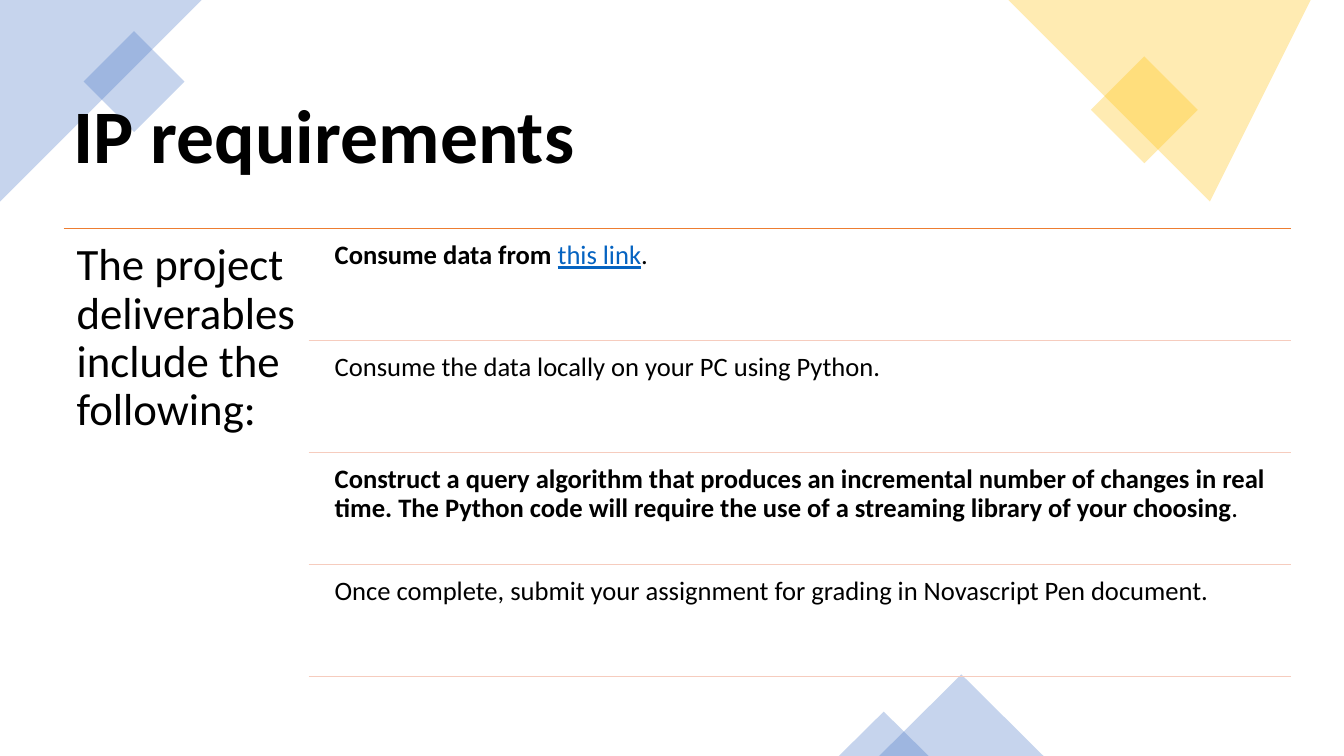
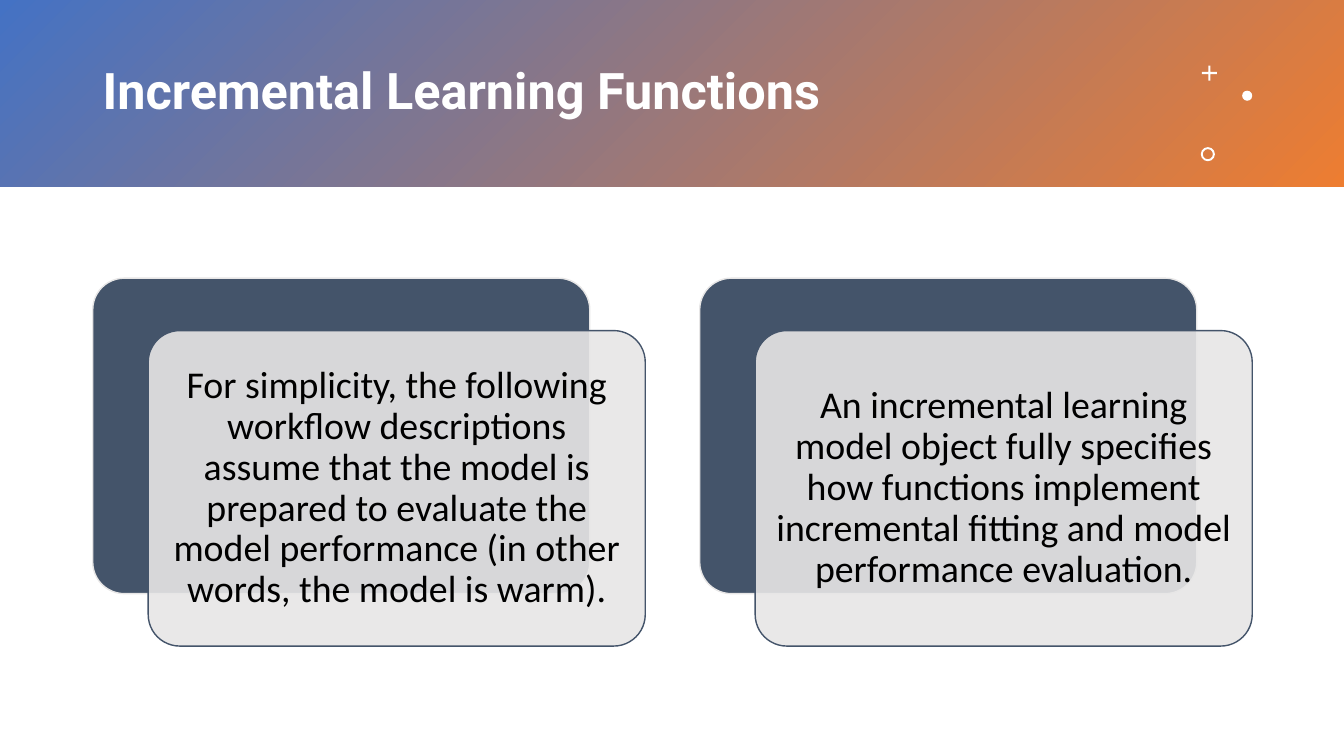
from dataclasses import dataclass

from pptx import Presentation
from pptx.dml.color import RGBColor
from pptx.enum.shapes import MSO_CONNECTOR, MSO_SHAPE
from pptx.enum.text import MSO_ANCHOR, PP_ALIGN
from pptx.oxml.ns import qn
from pptx.oxml.xmlchemy import OxmlElement
from pptx.util import Inches, Pt

TOP, MIDDLE, BOTTOM = MSO_ANCHOR.TOP, MSO_ANCHOR.MIDDLE, MSO_ANCHOR.BOTTOM
LEFT, CENTER = PP_ALIGN.LEFT, PP_ALIGN.CENTER
RECTANGLE, ROUNDED = MSO_SHAPE.RECTANGLE, MSO_SHAPE.ROUNDED_RECTANGLE
DIAMOND, TRIANGLE = MSO_SHAPE.DIAMOND, MSO_SHAPE.ISOSCELES_TRIANGLE
CROSS, OVAL, DONUT = MSO_SHAPE.CROSS, MSO_SHAPE.OVAL, MSO_SHAPE.DONUT
STRAIGHT = MSO_CONNECTOR.STRAIGHT


@dataclass(frozen=True)
class Theme:
    blue: str = "4472C4"
    gold: str = "FFC000"
    orange: str = "ED7D31"
    peach: str = "F6CCBE"
    slate: str = "44546A"
    grey: str = "E7E6E6"
    link: str = "0563C1"
    black: str = "000000"
    white: str = "FFFFFF"
    body_font: str = "Calibri"
    heading_font: str = "Roboto"
    large_title: int = 54
    band_title: int = 36
    lead: int = 32
    card: int = 27
    item: int = 19
    line_spacing: float = 0.9
    tint: int = 30


THEME = Theme()


@dataclass(frozen=True)
class Words:
    text: str
    bold: bool = False
    color: str = THEME.black
    underline: bool = False


REQUIREMENTS = (
    (Words("Consume data from ", bold=True),
     Words("this link", color=THEME.link, underline=True), Words(".")),
    (Words("Consume the data locally on your PC using Python."),),
    (Words("Construct a query algorithm that produces an incremental number of "
           "changes in real time. The Python code will require the use of a "
           "streaming library of your choosing", bold=True), Words(".")),
    (Words("Once complete, submit your assignment for grading in "
           "Novascript Pen document."),),
)

CARDS = (
    "For simplicity, the following workflow descriptions assume that the model "
    "is prepared to evaluate the model performance (in other words, the model "
    "is warm).",
    "An incremental learning model object fully specifies how functions "
    "implement incremental fitting and model performance evaluation.",
)


def rgb(color):
    return RGBColor.from_string(color)


def paint(shape, color, opacity=100, outline=None):
    shape.shadow.inherit = False
    shape.fill.solid()
    shape.fill.fore_color.rgb = rgb(color)
    if opacity < 100:
        alpha = OxmlElement("a:alpha")
        alpha.set("val", str(opacity * 1000))
        shape.element.spPr.find(qn("a:solidFill"))[0].append(alpha)
    if outline:
        shape.line.color.rgb = rgb(outline)
        shape.line.width = Pt(1)
    else:
        shape.line.fill.background()


def add_shape(page, kind, place, color, opacity=100, outline=None, adjust=None):
    shape = page.shapes.add_shape(kind, *map(Inches, place))
    if adjust is not None:
        shape.adjustments[0] = adjust
    paint(shape, color, opacity, outline)
    return shape


def add_polygon(page, points, color, opacity):
    builder = page.shapes.build_freeform(*points[0], scale=Inches(1))
    builder.add_line_segments(points[1:], close=True)
    paint(builder.convert_to_shape(), color, opacity)


def add_rule(page, left, right, top, color):
    rule = page.shapes.add_connector(
        STRAIGHT, Inches(left), Inches(top), Inches(right), Inches(top))
    rule.line.color.rgb = rgb(color)
    rule.line.width = Pt(1)
    rule.element.spPr.append(OxmlElement("a:effectLst"))


def write(shape, words, size, font=THEME.body_font, anchor=TOP, align=LEFT,
          inset=None):
    frame = shape.text_frame
    frame.word_wrap = True
    frame.vertical_anchor = anchor
    if inset is not None:
        frame.margin_left = frame.margin_right = Inches(inset)
        frame.margin_top = frame.margin_bottom = Inches(inset)
    para = frame.paragraphs[0]
    para.alignment = align
    para.line_spacing = THEME.line_spacing
    for part in words:
        span = para.add_run()
        span.text = part.text
        span.font.name = font
        span.font.size = Pt(size)
        span.font.bold = part.bold
        span.font.underline = part.underline
        span.font.color.rgb = rgb(part.color)


def add_text(page, place, words, size, **style):
    box = page.shapes.add_textbox(*map(Inches, place))
    write(box, words, size, **style)


def add_title(page, place, text, size, color=THEME.black, **style):
    add_text(page, place, [Words(text, bold=True, color=color)], size, **style)


def add_corner_decor(page):
    blue_corner = [(1.53, 0), (0, 0), (0, 1.3), (0.41, 1.71), (1.83, 0.3)]
    gold_corner = [(10.23, 0), (11.93, 1.62), (13.33, 0.28), (13.33, 0)]
    add_polygon(page, blue_corner, THEME.blue, THEME.tint)
    add_polygon(page, gold_corner, THEME.gold, THEME.tint)
    for kind, place, color in (
        (DIAMOND, (0.83, 0.31, 1, 1), THEME.blue),
        (DIAMOND, (10.82, 0.56, 1.06, 1.06), THEME.gold),
        (TRIANGLE, (8.72, 6.69, 1.63, 0.81), THEME.blue),
        (TRIANGLE, (8.32, 7.06, 0.89, 0.44), THEME.blue),
    ):
        add_shape(page, kind, place, color, THEME.tint)


def add_requirement_list(page):
    left, right, top, pitch = 0.63, 12.8, 2.27, 1.11
    add_rule(page, left, right, top, THEME.orange)
    add_text(page, (left, top, 2.43, 4.5),
             [Words("The project deliverables include the following:")],
             THEME.lead, inset=0.13)
    for index, words in enumerate(REQUIREMENTS):
        row_top = top + index * pitch
        add_text(page, (3.24, row_top + 0.05, 9.56, 1.06), words, THEME.item,
                 inset=0.08)
        add_rule(page, 3.06, right, row_top + pitch, THEME.peach)


def add_gradient_band(page):
    band = add_shape(page, RECTANGLE, (0, 0, 13.33, 1.85), THEME.blue)
    band.fill.gradient()
    band.fill.gradient_angle = 315
    for stop, color in zip(band.fill.gradient_stops, (THEME.blue, THEME.orange)):
        stop.color.rgb = rgb(color)


def add_band_marks(page):
    for kind, place, adjust in (
        (CROSS, (11.92, 0.65, 0.15, 0.15), 0.43),
        (OVAL, (12.32, 0.9, 0.1, 0.1), None),
        (DONUT, (11.91, 1.46, 0.14, 0.14), 0.14),
    ):
        add_shape(page, kind, place, THEME.white, adjust=adjust)


def add_card(page, left, top, text):
    width, height, corner = 4.93, 3.13, 0.1
    add_shape(page, ROUNDED, (left, top, width, height), THEME.slate,
              outline=THEME.grey, adjust=corner)
    front = add_shape(page, ROUNDED, (left + 0.55, top + 0.52, width, height),
                      THEME.grey, 90, THEME.slate, corner)
    write(front, [Words(text)], THEME.card, anchor=MIDDLE, align=CENTER,
          inset=0.11)


def build_requirements(page):
    add_corner_decor(page)
    add_title(page, (0.63, 0.26, 12.05, 1.57), "IP requirements",
              THEME.large_title, anchor=BOTTOM)
    add_requirement_list(page)


def build_functions(page):
    add_gradient_band(page)
    add_title(page, (0.92, 0.33, 10.75, 1.19), "Incremental Learning Functions",
              THEME.band_title, THEME.white, font=THEME.heading_font,
              anchor=MIDDLE)
    add_band_marks(page)
    for index, text in enumerate(CARDS):
        add_card(page, 0.92 + index * 6.02, 2.76, text)


def main():
    deck = Presentation()
    deck.slide_width, deck.slide_height = Inches(13.33), Inches(7.5)
    for build in (build_requirements, build_functions):
        build(deck.slides.add_slide(deck.slide_layouts[6]))
    deck.save("out.pptx")


if __name__ == "__main__":
    main()
